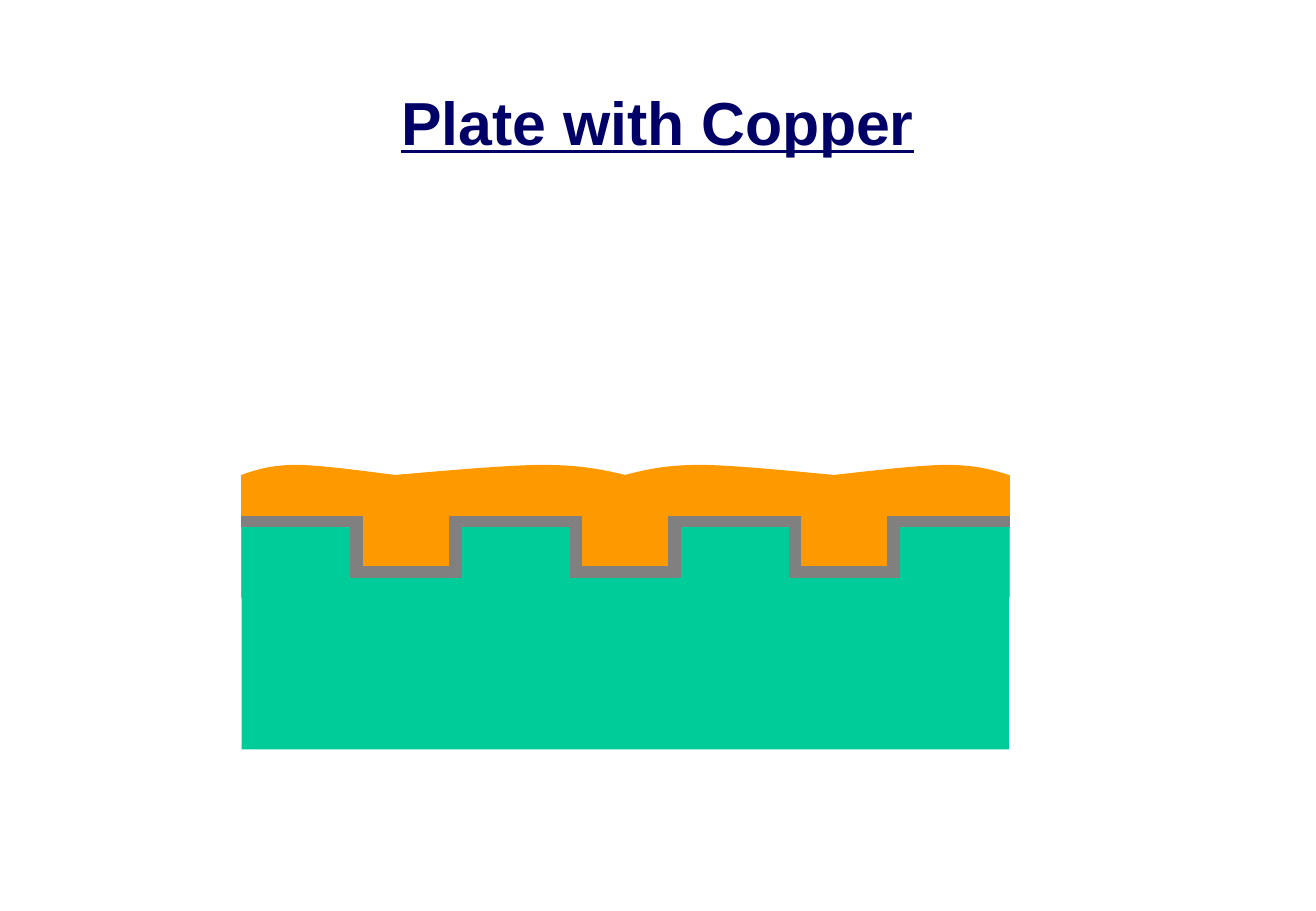
from pptx import Presentation
from pptx.dml.color import RGBColor
from pptx.enum.shapes import MSO_SHAPE as Preset
from pptx.enum.text import MSO_ANCHOR as Anchor, PP_ALIGN as Align
from pptx.util import Cm, Pt

NAVY = RGBColor(0x00, 0x00, 0x66)
COPPER = RGBColor(0xFF, 0x99, 0x00)
DIELECTRIC = RGBColor(0x00, 0xCC, 0x99)
LINER = RGBColor(0x80, 0x80, 0x80)

TITLE_FONT = {"name": "Arial", "size": Pt(36), "bold": True, "underline": True}

# All lengths below are in centimetres
TRENCHES = 3
TRENCH_DEPTH = 1.06
LINER_THICKNESS = 0.21
LINER_INSET = 0.23
COPPER_RISE = 0.85
COPPER_HEIGHT = 2.54
HUMP_HEIGHT = 0.21
# Hump width as a share of the plate, and whether its steep side is on the right
HUMPS = [(0.2, False), (0.3, True), (0.272, False), (0.228, True)]
# Two cubic curves describing a hump of unit width and height
HUMP_CURVES = [
    [(0, 0), (0.095, 0.5), (0.19, 1), (0.357, 1)],
    [(0.357, 1), (0.524, 1), (0.889, 0.2), (1, 0)],
]
CURVE_STEPS = 16


def paint(shape, color, outlined=True):
    shape.shadow.inherit = False
    shape.fill.solid()
    shape.fill.fore_color.rgb = color
    if outlined:
        shape.line.color.rgb = color
        shape.line.width = Pt(1)
    else:
        shape.line.fill.background()


def add_outline(slide, points, color, outlined=True):
    start, *others = [(Cm(x), Cm(y)) for x, y in points]
    builder = slide.shapes.build_freeform(*start)
    builder.add_line_segments(others, close=True)
    paint(builder.convert_to_shape(), color, outlined)


def curve_point(controls, t):
    weights = ((1 - t) ** 3, 3 * t * (1 - t) ** 2, 3 * t * t * (1 - t), t ** 3)
    return tuple(sum(w * point[axis] for w, point in zip(weights, controls))
                 for axis in (0, 1))


def trench_profile(left, top, width, inset=0):
    """Surface from left to right, stepping down into every trench."""
    step = width / (2 * TRENCHES + 1)
    points = [(left, top)]
    for trench in range(TRENCHES):
        start = left + (2 * trench + 1) * step + inset
        end = left + (2 * trench + 2) * step - inset
        bottom = top + TRENCH_DEPTH
        points += [(start, top), (start, bottom), (end, bottom), (end, top)]
    return points + [(left + width, top)]


def add_title(slide, text, left, top, width, height):
    box = slide.shapes.add_textbox(Cm(left), Cm(top), Cm(width), Cm(height))
    frame = box.text_frame
    frame.word_wrap = True
    frame.vertical_anchor = Anchor.MIDDLE
    paragraph = frame.paragraphs[0]
    paragraph.text = text
    paragraph.alignment = Align.CENTER
    for name, value in TITLE_FONT.items():
        setattr(paragraph.font, name, value)
    paragraph.font.color.rgb = NAVY


def add_copper(slide, left, top, width):
    # Uneven humps on the surface
    hump_left = left
    for share, mirrored in HUMPS:
        hump_width = share * width
        points = []
        for controls in HUMP_CURVES:
            for index in range(CURVE_STEPS + 1):
                x, y = curve_point(controls, index / CURVE_STEPS)
                x = 1 - x if mirrored else x
                points.append((hump_left + x * hump_width, top - y * HUMP_HEIGHT))
        add_outline(slide, points, COPPER)
        hump_left += hump_width
    # Copper body that fills the trenches
    body = slide.shapes.add_shape(
        Preset.RECTANGLE, Cm(left), Cm(top), Cm(width), Cm(COPPER_HEIGHT))
    paint(body, COPPER)


def add_plate(slide, left, top, width, height):
    add_copper(slide, left, top - COPPER_RISE, width)

    # Dielectric with trenches
    surface = trench_profile(left, top, width)
    base = [(left + width, top + height), (left, top + height)]
    add_outline(slide, surface + base, DIELECTRIC, outlined=False)

    # Liner following the trench walls
    upper = trench_profile(left, top, width, LINER_INSET)
    lower = trench_profile(left, top + LINER_THICKNESS, width)
    add_outline(slide, upper + lower[::-1], LINER)


def main():
    presentation = Presentation()
    presentation.slide_width = Cm(27.51)
    presentation.slide_height = Cm(19.05)
    slide = presentation.slides.add_slide(presentation.slide_layouts[6])
    add_title(slide, "Plate with Copper", 1.14, 0.94, 25.22, 3.18)
    add_plate(slide, 5.05, 10.8, 16.04, 4.87)
    presentation.save("out.pptx")


if __name__ == "__main__":
    main()
